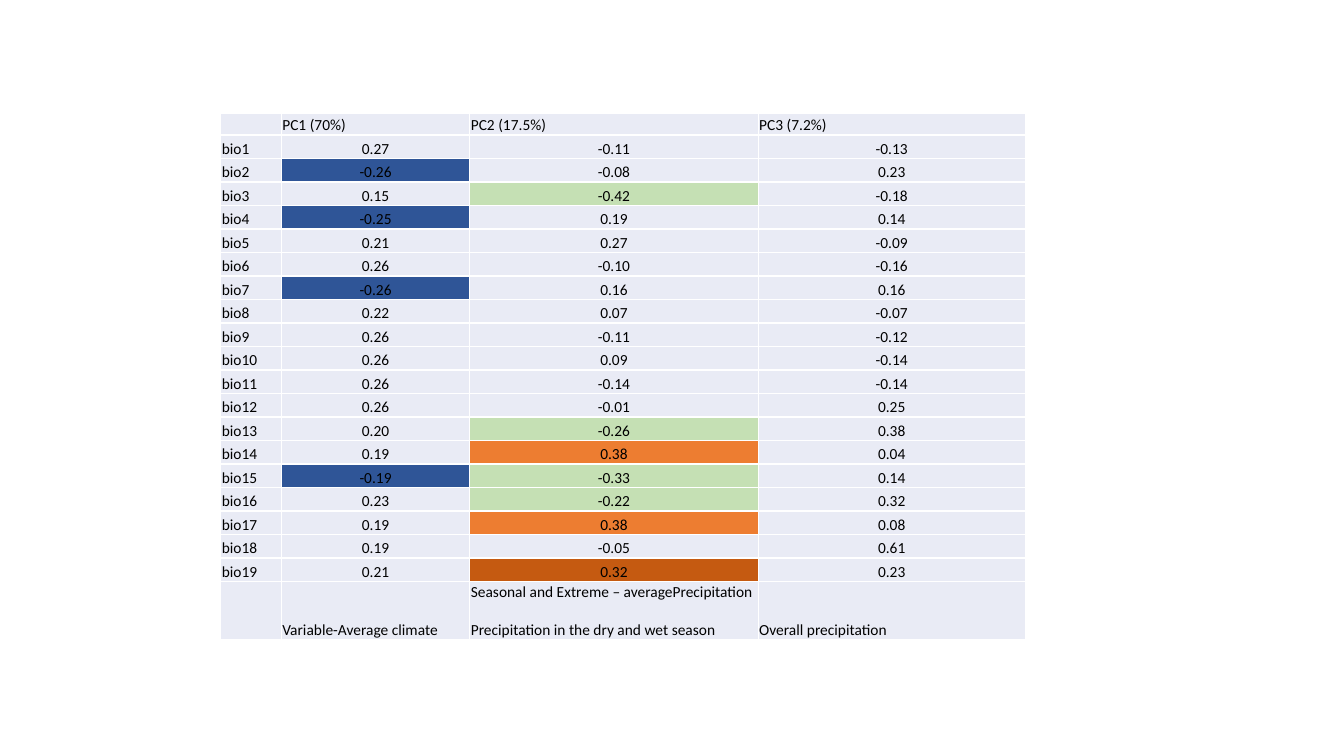
"""Build a slide with a table of climate loadings on three components."""
from dataclasses import dataclass
from lxml import etree
from pptx import Presentation
from pptx.dml.color import RGBColor
from pptx.enum.text import MSO_ANCHOR, PP_ALIGN
from pptx.oxml.ns import qn
from pptx.util import Inches, Pt

BOTTOM = MSO_ANCHOR.BOTTOM
LEFT, CENTER = PP_ALIGN.LEFT, PP_ALIGN.CENTER

HEAD = ("", "PC1 (70%)", "PC2 (17.5%)", "PC3 (7.2%)")
LOADS = [
    ("0.27", "-0.11", "-0.13"),
    ("-0.26", "-0.08", "0.23"),
    ("0.15", "-0.42", "-0.18"),
    ("-0.25", "0.19", "0.14"),
    ("0.21", "0.27", "-0.09"),
    ("0.26", "-0.10", "-0.16"),
    ("-0.26", "0.16", "0.16"),
    ("0.22", "0.07", "-0.07"),
    ("0.26", "-0.11", "-0.12"),
    ("0.26", "0.09", "-0.14"),
    ("0.26", "-0.14", "-0.14"),
    ("0.26", "-0.01", "0.25"),
    ("0.20", "-0.26", "0.38"),
    ("0.19", "0.38", "0.04"),
    ("-0.19", "-0.33", "0.14"),
    ("0.23", "-0.22", "0.32"),
    ("0.19", "0.38", "0.08"),
    ("0.19", "-0.05", "0.61"),
    ("0.21", "0.32", "0.23"),
]
FOOT = (
    "",
    "Variable-Average climate",
    "Seasonal and Extreme – averagePrecipitation\n"
    "Precipitation in the dry and wet season",
    "Overall precipitation",
)


@dataclass(frozen=True)
class Theme:
    """Hold the colours and type of the slide."""
    font: str = "Calibri"
    size: float = 11
    gap: float = 13.4
    rule: float = 1
    ink: str = "000000"
    line: str = "FFFFFF"
    base: str = "E9EBF5"
    blue: str = "2F5597"
    green: str = "C5E0B4"
    orange: str = "ED7D31"
    rust: str = "C55A11"


THEME = Theme()
MARKS = {
    (1, THEME.blue): (2, 4, 7, 15),
    (2, THEME.green): (3, 13, 15, 16),
    (2, THEME.orange): (14, 17),
    (2, THEME.rust): (19,),
}
FILLS = {(row, col): hue for (col, hue), rows in MARKS.items() for row in rows}

X, Y, HIGH = 2.19, 1.13, 5.21
WIDTHS = (0.6, 1.87, 2.86, 2.65)
TOP, END = 0.21, 0.57
STEP = (HIGH - TOP - END) / len(LOADS)
HEIGHTS = [TOP] + [STEP] * len(LOADS) + [END]


def edge(cell):
    """Draw a thin line on all four sides of a cell."""
    props = cell._tc.get_or_add_tcPr()
    for side in ("lnL", "lnR", "lnT", "lnB"):
        line = etree.SubElement(props, qn(f"a:{side}"), w=str(Pt(THEME.rule)))
        fill = etree.SubElement(line, qn("a:solidFill"))
        etree.SubElement(fill, qn("a:srgbClr"), val=THEME.line)


def write(cell, text, align):
    """Put each line of text in its own paragraph."""
    frame = cell.text_frame
    for i, line in enumerate(text.split("\n")):
        para = frame.add_paragraph() if i else frame.paragraphs[0]
        para.alignment = align
        if i:
            para.space_before = Pt(THEME.gap)
        if not line:
            size = str(int(THEME.size * 100))
            etree.SubElement(para._p, qn("a:endParaRPr"), sz=size)
            continue
        run = para.add_run()
        run.text = line
        run.font.name = THEME.font
        run.font.size = Pt(THEME.size)
        run.font.color.rgb = RGBColor.from_string(THEME.ink)


def style(cell, hue):
    """Set the margins, anchor, lines and fill of a cell."""
    cell.margin_left = cell.margin_right = cell.margin_top = Inches(0.01)
    cell.margin_bottom = 0
    cell.vertical_anchor = BOTTOM
    edge(cell)
    cell.fill.solid()
    cell.fill.fore_color.rgb = RGBColor.from_string(hue)


deck = Presentation()
deck.slide_width, deck.slide_height = Inches(13.33), Inches(7.5)
slide = deck.slides.add_slide(deck.slide_layouts[6])

body = [(f"bio{n}", *loads) for n, loads in enumerate(LOADS, 1)]
rows = [HEAD, *body, FOOT]
table = slide.shapes.add_table(
    len(rows), len(HEAD), Inches(X), Inches(Y), Inches(sum(WIDTHS)), Inches(HIGH)
).table
table.first_row = table.horz_banding = False

for col, wide in zip(table.columns, WIDTHS):
    col.width = Inches(wide)
for row, high in zip(table.rows, HEIGHTS):
    row.height = Inches(high)
for r, texts in enumerate(rows):
    for c, text in enumerate(texts):
        cell = table.cell(r, c)
        load = c > 0 and 0 < r <= len(LOADS)
        write(cell, text, CENTER if load else LEFT)
        style(cell, FILLS.get((r, c), THEME.base))

deck.save("out.pptx")
